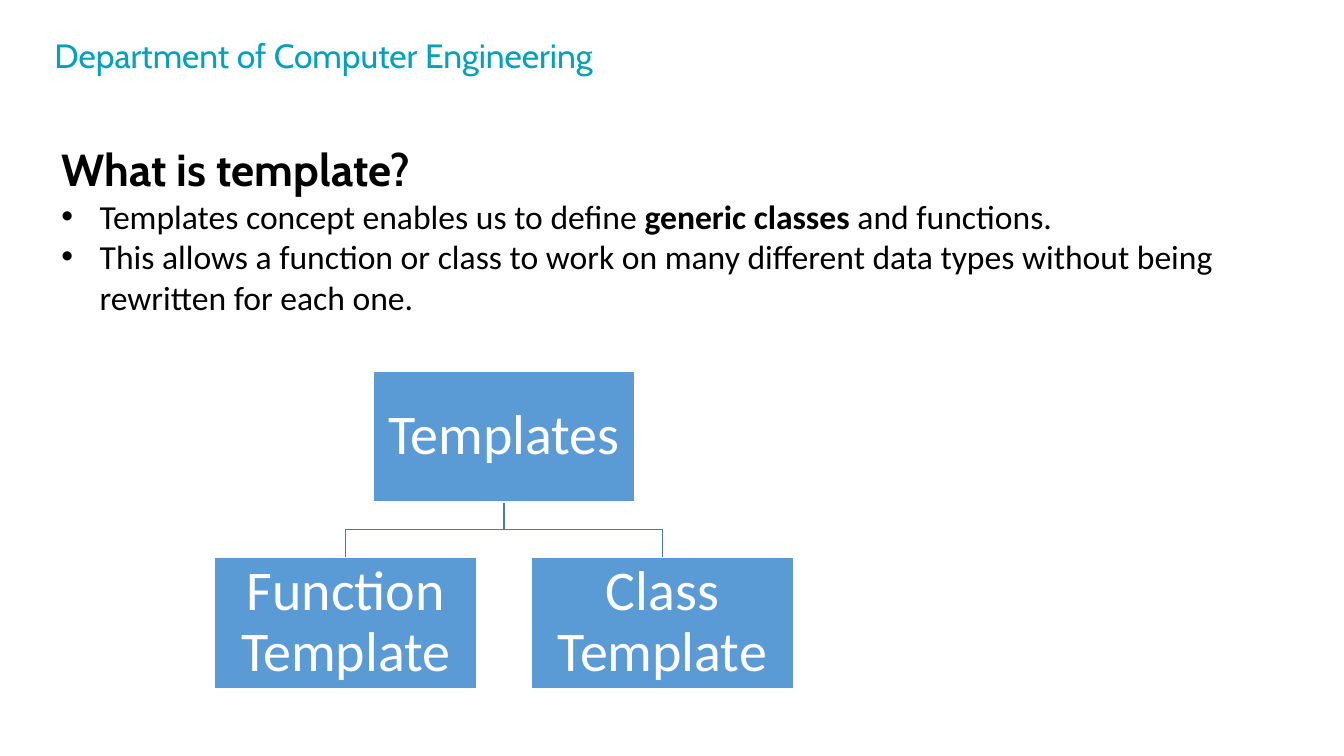
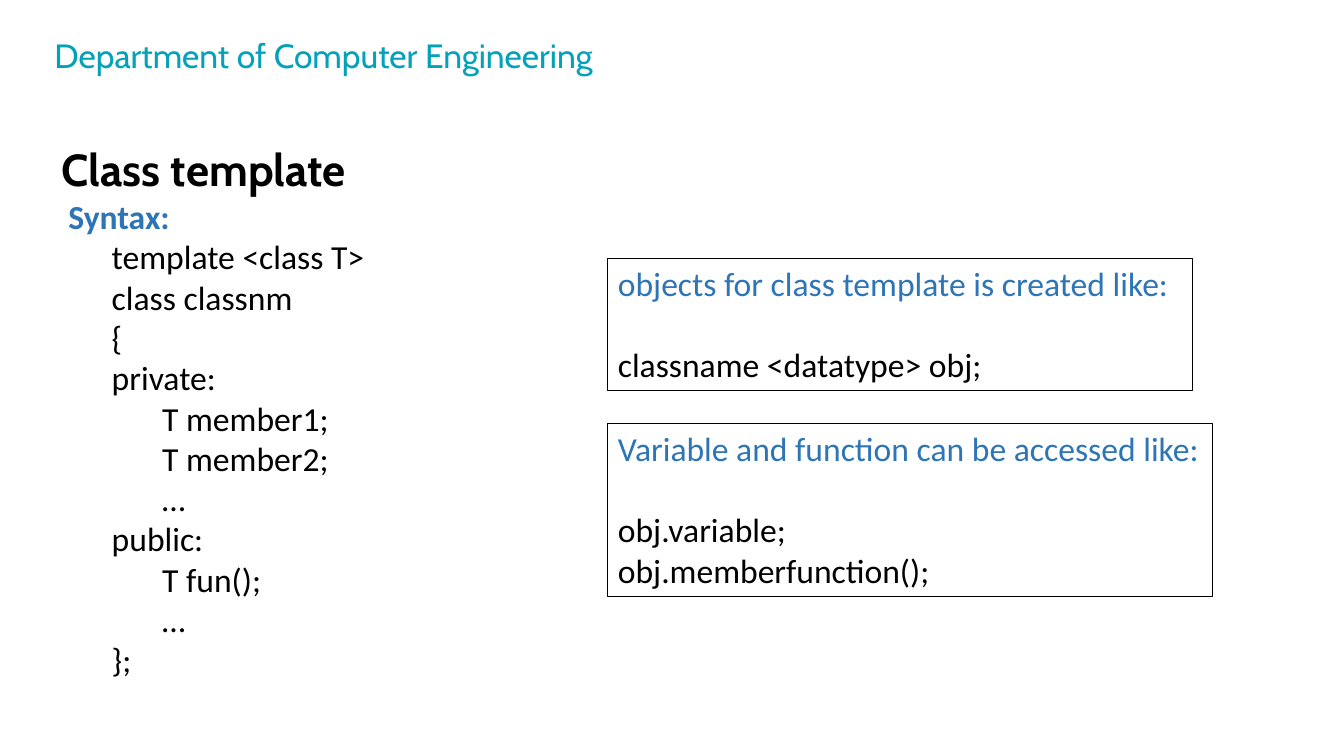
import pptx
import pptx.dml.color
import pptx.enum.shapes
import pptx.enum.text
import pptx.oxml.ns
import pptx.util
from lxml import etree

Inches = pptx.util.Inches
Pt = pptx.util.Pt
RGBColor = pptx.dml.color.RGBColor
ALIGN = pptx.enum.text.PP_ALIGN
ANCHOR = pptx.enum.text.MSO_ANCHOR
RECTANGLE = pptx.enum.shapes.MSO_SHAPE.RECTANGLE

TEAL = RGBColor(0x04, 0xA2, 0xB9)
BLACK = RGBColor(0, 0, 0)
WHITE = RGBColor(0xFF, 0xFF, 0xFF)
BLUE = RGBColor(0x2E, 0x75, 0xB6)
NODE_BLUE = RGBColor(0x5B, 0x9B, 0xD5)
LINK_BLUE = RGBColor(0x49, 0x7C, 0xAB)

# Text styles
DEPARTMENT = {"name": "Cabin", "size": Pt(24), "bold": False, "color": TEAL}
HEADING = {"name": "Cabin", "size": Pt(32), "bold": True, "color": BLACK}
BODY = {"name": "Calibri", "size": Pt(24), "bold": False, "color": BLACK}
STRONG = BODY | {"bold": True}
LABEL = BODY | {"color": BLUE}
NODE = BODY | {"size": Pt(40), "color": WHITE}


def add_text(frame, rows, align=ALIGN.LEFT):
    """Write rows of (spans, layout); a span is (text, style)."""
    frame.word_wrap = True
    for number, (spans, layout) in enumerate(rows):
        para = frame.paragraphs[0] if number == 0 else frame.add_paragraph()
        para.alignment = align
        properties = para._p.get_or_add_pPr()
        properties.set("marL", str(Inches(layout.get("left", 0))))
        properties.set("indent", str(Inches(layout.get("indent", 0))))
        if "bullet" in layout:
            font = etree.SubElement(properties, pptx.oxml.ns.qn("a:buFont"))
            font.set("typeface", "Arial")
            bullet = etree.SubElement(properties, pptx.oxml.ns.qn("a:buChar"))
            bullet.set("char", layout["bullet"])
        para.space_before = Pt(layout.get("before", 0))
        para.line_spacing = layout.get("spacing", 1.0)
        for text, style in spans:
            span = para.add_run()
            span.text = text
            for name, value in style.items():
                if name == "color":
                    span.font.color.rgb = value
                else:
                    setattr(span.font, name, value)


def add_box(page, left, top, width, height, fill, line, weight):
    box = page.shapes.add_shape(
        RECTANGLE, Inches(left), Inches(top), Inches(width), Inches(height))
    box.shadow.inherit = False
    if fill is None:
        box.fill.background()
    else:
        box.fill.solid()
        box.fill.fore_color.rgb = fill
    box.line.color.rgb = line
    box.line.width = Pt(weight)
    return box


deck = pptx.Presentation()
deck.slide_width = Inches(13.33)
deck.slide_height = Inches(7.5)

# Content of the main text on each page
BULLET = {"left": 0.38, "indent": -0.38, "bullet": "•"}
template_rows = [
    ([("What is template?", HEADING)], {}),
    ([("Templates concept enables us to define ", BODY),
      ("generic classes ", STRONG), ("and functions.", BODY)], BULLET),
    ([("This allows a function or class to work on many different data types "
       "without being rewritten for each one.", BODY)], BULLET),
]
syntax_lines = [
    (0.5, "template <class T>"), (0.5, "class classnm"), (0.5, "{"),
    (0.5, "private:"), (1, "T member1;"), (1, "T member2;"), (1, "…"),
    (0.5, "public:"), (1, "T fun();"), (1, "…"), (0.5, "};"),
]
class_rows = [
    ([("Class template", HEADING)], {}),
    ([("Syntax:", LABEL | {"bold": True})], {"left": 0.07}),
] + [([(text, BODY)], {"left": left}) for left, text in syntax_lines]

# Department title and main text, shared by both pages
pages = []
for rows in (template_rows, class_rows):
    page = deck.slides.add_slide(deck.slide_layouts[5])
    pages.append(page)
    title = page.shapes.title
    title.left, title.top = Inches(0.53), Inches(0.34)
    title.width, title.height = Inches(7.34), Inches(0.42)
    frame = title.text_frame
    for side in ("left", "right", "top", "bottom"):
        setattr(frame, "margin_" + side, 0)
    frame.vertical_anchor = ANCHOR.MIDDLE
    frame.auto_size = pptx.enum.text.MSO_AUTO_SIZE.NONE
    add_text(frame, [([("Department of Computer Engineering", DEPARTMENT)],
                      {"left": 0.01, "before": 1})])
    body = page.shapes.add_textbox(
        Inches(0.51), Inches(1.36), Inches(12.41), Inches(5.35))
    add_text(body.text_frame, rows)
template_page, class_page = pages

# Template tree: one root above two children
NODE_WIDTH, NODE_HEIGHT = 2.6, 1.3
ROOT_X, ROOT_TOP, CHILD_TOP = 5, 3.68, 5.53
CHILD_OFFSET = 1.57
root_bottom = ROOT_TOP + NODE_HEIGHT
bend = (root_bottom + CHILD_TOP) / 2
for child_x in (ROOT_X + CHILD_OFFSET, ROOT_X - CHILD_OFFSET):
    builder = template_page.shapes.build_freeform(
        Inches(ROOT_X), Inches(root_bottom))
    builder.add_line_segments(
        [(Inches(x), Inches(y)) for x, y in
         ((ROOT_X, bend), (child_x, bend), (child_x, CHILD_TOP))],
        close=False)
    link = builder.convert_to_shape()
    link.shadow.inherit = False
    link.fill.background()
    link.line.color.rgb = LINK_BLUE
    link.line.width = Pt(1)

for text, center, top in (
        ("Templates", ROOT_X, ROOT_TOP),
        ("Function Template", ROOT_X - CHILD_OFFSET, CHILD_TOP),
        ("Class Template", ROOT_X + CHILD_OFFSET, CHILD_TOP)):
    node = add_box(template_page, center - NODE_WIDTH / 2, top,
                   NODE_WIDTH, NODE_HEIGHT, NODE_BLUE, WHITE, 1)
    frame = node.text_frame
    for side in ("left", "right", "top", "bottom"):
        setattr(frame, "margin_" + side, Inches(0.03))
    frame.vertical_anchor = ANCHOR.MIDDLE
    add_text(frame, [([(text, NODE)], {"spacing": 0.9})], ALIGN.CENTER)

# Usage boxes: a label, a gap of one line, then code
for top, width, height, label, code in (
        (2.56, 5.8, 1.31, "objects for class template is created like:",
         ["classname <datatype> obj;"]),
        (4.2, 6, 1.72, "Variable and function can be accessed like:",
         ["obj.variable;", "obj.memberfunction();"])):
    usage = add_box(class_page, 6.03, top, width, height, None, BLACK, 0.75)
    usage.text_frame.vertical_anchor = ANCHOR.TOP
    rows = [([(label, LABEL)], {})]
    for number, text in enumerate(code):
        rows.append(([(text, BODY)], {"before": 29 if number == 0 else 0}))
    add_text(usage.text_frame, rows)

deck.save("out.pptx")
